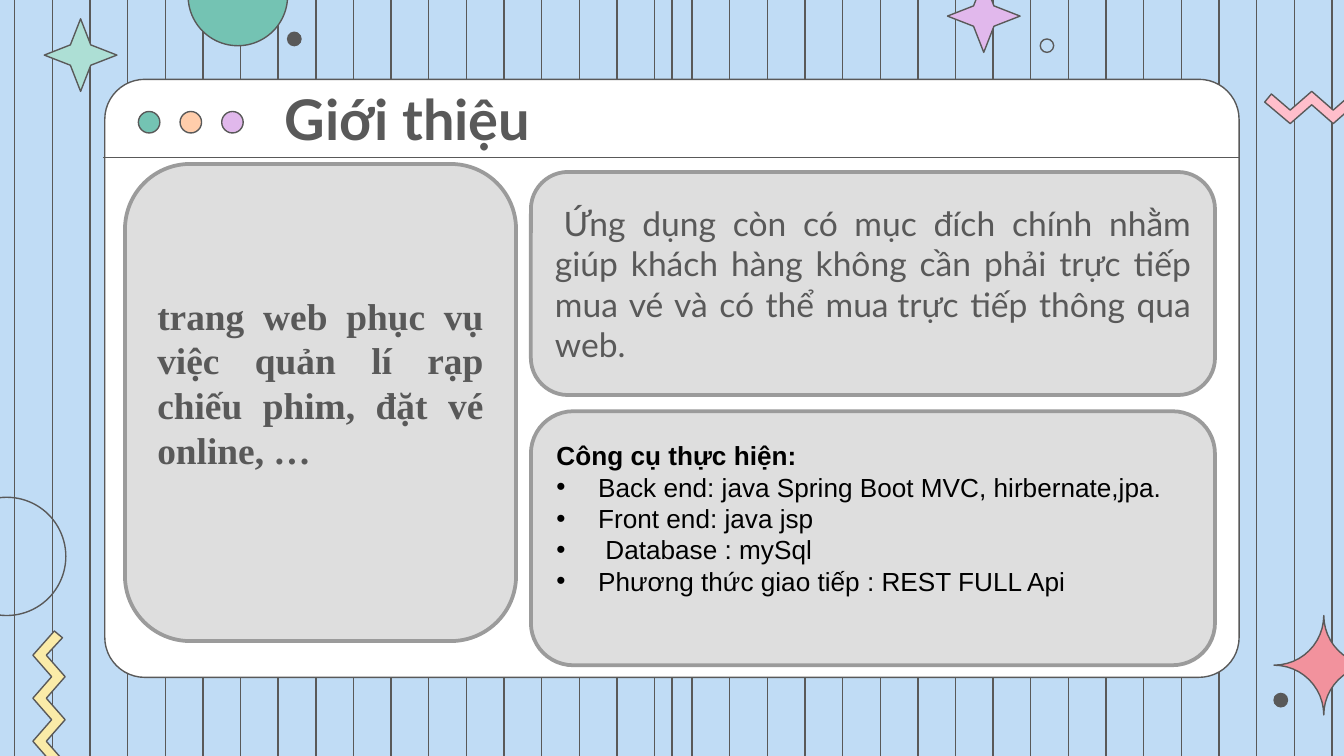
import math

from lxml import etree
from pptx import Presentation
from pptx.dml.color import RGBColor
from pptx.enum.shapes import MSO_CONNECTOR, MSO_SHAPE
from pptx.enum.text import MSO_ANCHOR, PP_ALIGN
from pptx.oxml.ns import qn
from pptx.util import Inches, Pt

ROUNDED, OVAL, STAR = MSO_SHAPE.ROUNDED_RECTANGLE, MSO_SHAPE.OVAL, MSO_SHAPE.STAR_4_POINT
STRAIGHT = MSO_CONNECTOR.STRAIGHT
MIDDLE = MSO_ANCHOR.MIDDLE
LEFT, JUSTIFY = PP_ALIGN.LEFT, PP_ALIGN.JUSTIFY

COLORS = {
    "sky": "C0DCF5", "ink": "595959", "white": "FFFFFF", "black": "000000",
    "teal": "74C3B3", "mint": "ADDFD5", "peach": "FFCDAB", "lilac": "E1B8EC",
    "yellow": "FAEBA8", "coral": "F2929D", "pink": "FFBECB",
    "panel": "DEDEDE", "border": "9B9B9B",
}
WIDTH = 10
HEIGHT = WIDTH * 9 / 16
HARD_SPACE = chr(160)

deck = Presentation()
deck.slide_width, deck.slide_height = Inches(WIDTH), Inches(HEIGHT)
page = deck.slides.add_slide(deck.slide_layouts[6])
page.background.fill.solid()
page.background.fill.fore_color.rgb = RGBColor.from_string(COLORS["sky"])
shapes = page.shapes


def add_line(x1, y1, x2, y2):
    line = shapes.add_connector(STRAIGHT, Inches(x1), Inches(y1), Inches(x2), Inches(y2))
    line.line.color.rgb = RGBColor.from_string(COLORS["ink"])
    line.line.width = Pt(0.75)
    etree.SubElement(line._element.spPr, qn("a:effectLst"))


def write(para, text, size, font, color="ink", bold=False, align=JUSTIFY, bullet=False):
    para.alignment = align
    if bullet:
        properties = para._p.get_or_add_pPr()
        properties.set("marL", str(Inches(0.31)))
        properties.set("indent", str(-Inches(0.31)))
        etree.SubElement(properties, qn("a:buFont"), typeface="Arial")
        etree.SubElement(properties, qn("a:buChar"), char="•")
    span = para.add_run()
    span.text = text
    span.font.size, span.font.name, span.font.bold = Pt(size), font, bold
    span.font.color.rgb = RGBColor.from_string(COLORS[color])


# Striped backdrop, with one extra stripe in the middle
for number in range(36):
    x = 0.11 + 0.28 * number
    add_line(x, 0, x, HEIGHT)
add_line(5, 0, 5, HEIGHT)

# Window card, title bar dots, ornaments: kind, place, fill, adjustment
window = (ROUNDED, 0.78, 0.59, 8.44, 4.45, "white", 0.067)
dots = [(OVAL, 1.03 + 0.31 * place, 0.83, 0.16, 0.16, color, None)
        for place, color in enumerate(["teal", "peach", "lilac"])]
ornaments = [
    (OVAL, 9.48, 5.16, 0.1, 0.1, "ink", None),
    (OVAL, -0.39, 3.7, 0.88, 0.88, None, None),
    (OVAL, 1.4, -0.4, 0.74, 0.74, "teal", None),
    (OVAL, 2.14, 0.24, 0.1, 0.1, "ink", None),
    (STAR, 7.05, -0.15, 0.54, 0.54, "lilac", 0.198),
    (STAR, 0.33, 0.14, 0.54, 0.54, "mint", 0.198),
    (OVAL, 7.74, 0.29, 0.1, 0.1, None, None),
]
panels = [
    (ROUNDED, 0.93, 1.22, 2.91, 3.55, "panel", None),
    (ROUNDED, 3.95, 1.28, 5.09, 1.66, "panel", None),
    (ROUNDED, 3.95, 3.06, 5.09, 1.89, "panel", None),
]
painted = []
for kind, left, top, width, height, fill, adjustment in [window, *dots, *ornaments, *panels]:
    shape = shapes.add_shape(kind, Inches(left), Inches(top), Inches(width), Inches(height))
    if adjustment is not None:
        shape.adjustments[0] = adjustment
    painted.append((shape, fill))
panel_shapes = [shape for shape, fill in painted[-len(panels):]]

# Zigzag ribbons: one lying, one turned upright
teeth = [(0.19 + 0.16 * tooth, 0.14 * (1 - tooth % 2)) for tooth in range(8)]
upper = [(0.05, 0.02), *teeth, (1.49, 0.16)]
lower = [(1.44, 0.22), *[(x, y + 0.1) for x, y in reversed(teeth)], (0, 0.08)]
ribbon = upper + lower
for left, top, color, turn in [(9.41, 0.68, "pink", 0), (-0.38, 5.32, "yellow", 270)]:
    points = [(Inches(left + x), Inches(top + y)) for x, y in ribbon]
    builder = shapes.build_freeform(*points[0])
    builder.add_line_segments(points[1:])
    shape = builder.convert_to_shape()
    shape.rotation = turn
    painted.append((shape, color))

# Sparkle: four inward arcs, each centred on a corner of its square
radius, steps = 0.37, 12
points = []
for corner_x, corner_y, start in [(1, -1, 180), (1, 1, 270), (-1, 1, 0), (-1, -1, 90)]:
    for step in range(steps):
        angle = math.radians(start - 90 * step / steps)
        points.append((Inches(9.85 + radius * (corner_x + math.cos(angle))),
                       Inches(4.95 + radius * (corner_y + math.sin(angle)))))
builder = shapes.build_freeform(*points[0])
builder.add_line_segments(points[1:])
painted.append((builder.convert_to_shape(), "coral"))

# Fills and outlines
for shape, fill in painted:
    shape.shadow.inherit = False
    if fill:
        shape.fill.solid()
        shape.fill.fore_color.rgb = RGBColor.from_string(COLORS[fill])
    else:
        shape.fill.background()
    is_panel = fill == "panel"
    shape.line.color.rgb = RGBColor.from_string(COLORS["border" if is_panel else "ink"])
    shape.line.width = Pt(2 if is_panel else 0.75)

# Title bar
add_line(0.77, 1.17, 9.22, 1.17)
title = shapes.add_textbox(Inches(2.02), Inches(0.59), Inches(6.91), Inches(0.58))
frame = title.text_frame
frame.word_wrap = True
frame.vertical_anchor = MIDDLE
frame.margin_top = frame.margin_bottom = Inches(0.1)
write(frame.paragraphs[0], "Giới thiệu", size=30, font="Lato", bold=True, align=LEFT)

# Panel texts
for shape, bottom in zip(panel_shapes, [0.35, 0.05, 0.35]):
    frame = shape.text_frame
    frame.word_wrap = True
    frame.vertical_anchor = MIDDLE
    frame.margin_bottom = Inches(bottom)
summary, purpose, tools = [shape.text_frame for shape in panel_shapes]

write(summary.paragraphs[0], "trang web phục vụ việc quản lí rạp chiếu phim, đặt vé online, …",
      size=20, font="Times New Roman", bold=True)
write(purpose.paragraphs[0],
      f"{HARD_SPACE}Ứng dụng còn có mục đích chính nhằm giúp khách hàng không cần phải "
      f"trực tiếp mua vé và có thể mua{HARD_SPACE}trực tiếp thông qua web.",
      size=18, font="Lato")
write(tools.paragraphs[0], "Công cụ thực hiện:", size=14, font="Arial", color="black", bold=True)
for item in ["Back end: java Spring Boot MVC, hirbernate,jpa.", "Front end: java jsp",
             f"{HARD_SPACE}Database : mySql", "Phương thức giao tiếp : REST FULL Api"]:
    write(tools.add_paragraph(), item, size=14, font="Arial", color="black", bullet=True)

deck.save("out.pptx")
